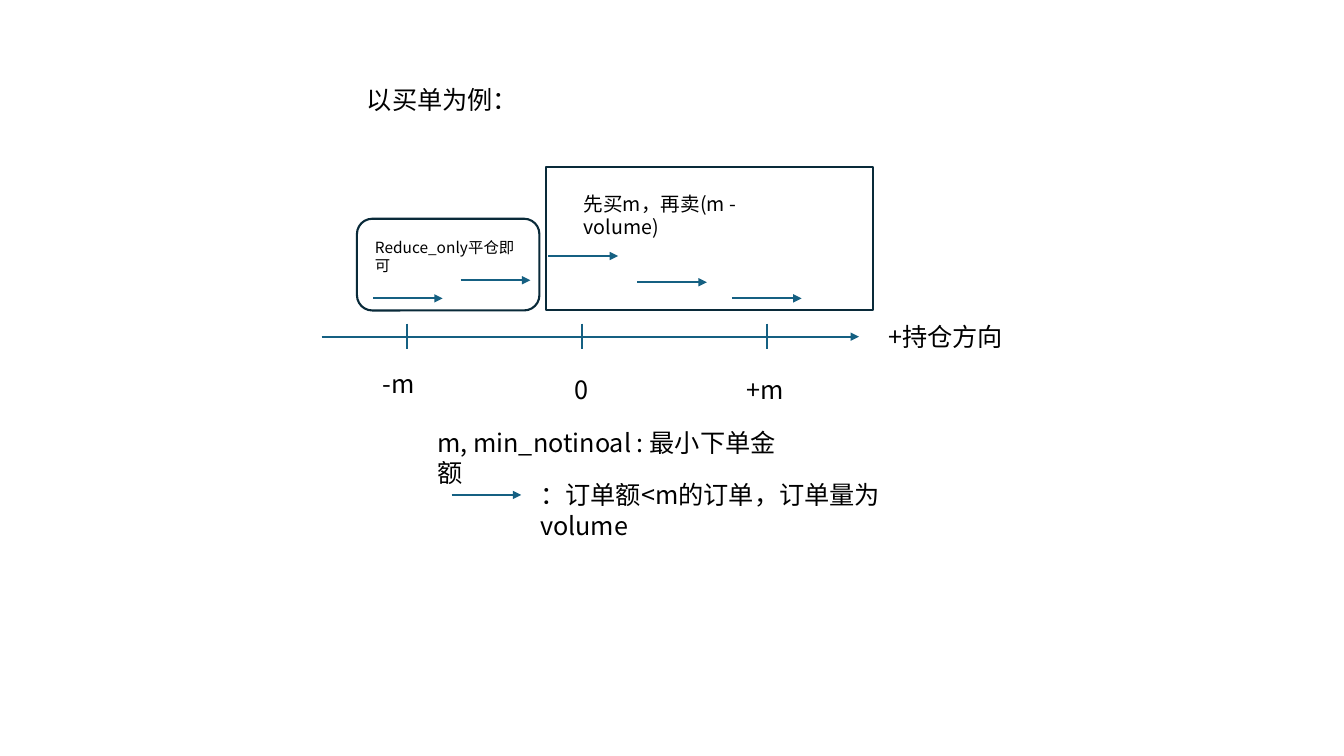
"""Draw the position axis that explains how small buy orders are handled."""
import pptx
import pptx.dml.color
import pptx.enum.shapes
import pptx.enum.text
import pptx.oxml
import pptx.oxml.ns
import pptx.util

COLUMNS, ROWS = 1333, 750
CELL = pptx.util.Inches(13.33) // COLUMNS
FONT = "Noto Sans CJK SC"
INK, BLUE, NAVY = "000000", "156082", "092A39"

AXIS_ROW, AXIS_START, AXIS_END = 334, 319, 852
TICK_COLUMNS = [404, 577, 761]
TICK_TOP, TICK_BOTTOM = 321, 346
ORDER_LENGTH = 69
ORDER_STARTS = [(370, 296), (457, 278), (544, 254), (632, 280), (726, 296), (448, 491)]
ZONES = [
    ("ROUNDED_RECTANGLE", 354, 217, 181),
    ("RECTANGLE", 542, 166, 324),
]
ZONE_BOTTOM = 308
LABELS = [
    ("以买单为例：", 354, 79, 172, 18),
    ("Reduce_only平仓即可", 362, 231, 165, 11),
    ("先买m，再卖(m - volume)", 569, 185, 246, 14),
    ("+持仓方向", 871, 314, 138, 18),
    ("-m", 370, 360, 54, 18),
    ("0", 560, 366, 34, 18),
    ("+m", 731, 366, 58, 18),
    ("m, min_notinoal : 最小下单金额", 424, 419, 364, 18),
    ("：订单额<m的订单，订单量为volume", 526, 471, 441, 18),
]


def color(value):
    return pptx.dml.color.RGBColor.from_string(value)


def cells(*counts):
    return [count * CELL for count in counts]


def style_line(line, value):
    line.color.rgb = color(value)
    line.width = pptx.util.Pt(1.5)


def append_xml(parent, tag, **attributes):
    child = pptx.oxml.parse_xml(f"<{tag} {pptx.oxml.ns.nsdecls('a')}/>")
    for key, value in attributes.items():
        child.set(key, value)
    parent.append(child)


def draw_line(slide, start, end, arrow=False):
    stroke = slide.shapes.add_connector(
        pptx.enum.shapes.MSO_CONNECTOR.STRAIGHT, *cells(*start, *end))
    style_line(stroke.line, BLUE)
    if arrow:
        append_xml(stroke.line._get_or_add_ln(), "a:tailEnd", type="triangle")
    append_xml(stroke._element.spPr, "a:effectLst")


def draw_zone(slide, kind, left, top, width):
    zone = slide.shapes.add_shape(
        pptx.enum.shapes.MSO_SHAPE[kind], *cells(left, top, width, ZONE_BOTTOM - top))
    zone.shadow.inherit = False
    zone.fill.background()
    style_line(zone.line, NAVY)


def draw_label(slide, wording, left, top, width, size):
    height = size * 2 + 4
    frame = slide.shapes.add_textbox(*cells(left, top, width, height)).text_frame
    frame.text = wording
    frame.word_wrap = len(wording) > 2
    frame.auto_size = pptx.enum.text.MSO_AUTO_SIZE.SHAPE_TO_FIT_TEXT
    font = frame.paragraphs[0].runs[0].font
    font.size = pptx.util.Pt(size)
    font.name = FONT
    font.color.rgb = color(INK)
    append_xml(font._element, "a:ea", typeface=FONT)


def main():
    deck = pptx.Presentation()
    deck.slide_width, deck.slide_height = cells(COLUMNS, ROWS)
    slide = deck.slides.add_slide(deck.slide_layouts[6])
    for column in TICK_COLUMNS:
        draw_line(slide, (column, TICK_TOP), (column, TICK_BOTTOM))
    draw_line(slide, (AXIS_START, AXIS_ROW), (AXIS_END, AXIS_ROW), arrow=True)
    for column, row in ORDER_STARTS:
        draw_line(slide, (column, row), (column + ORDER_LENGTH, row), arrow=True)
    for zone in ZONES:
        draw_zone(slide, *zone)
    for label in LABELS:
        draw_label(slide, *label)
    deck.save("out.pptx")


if __name__ == "__main__":
    main()
